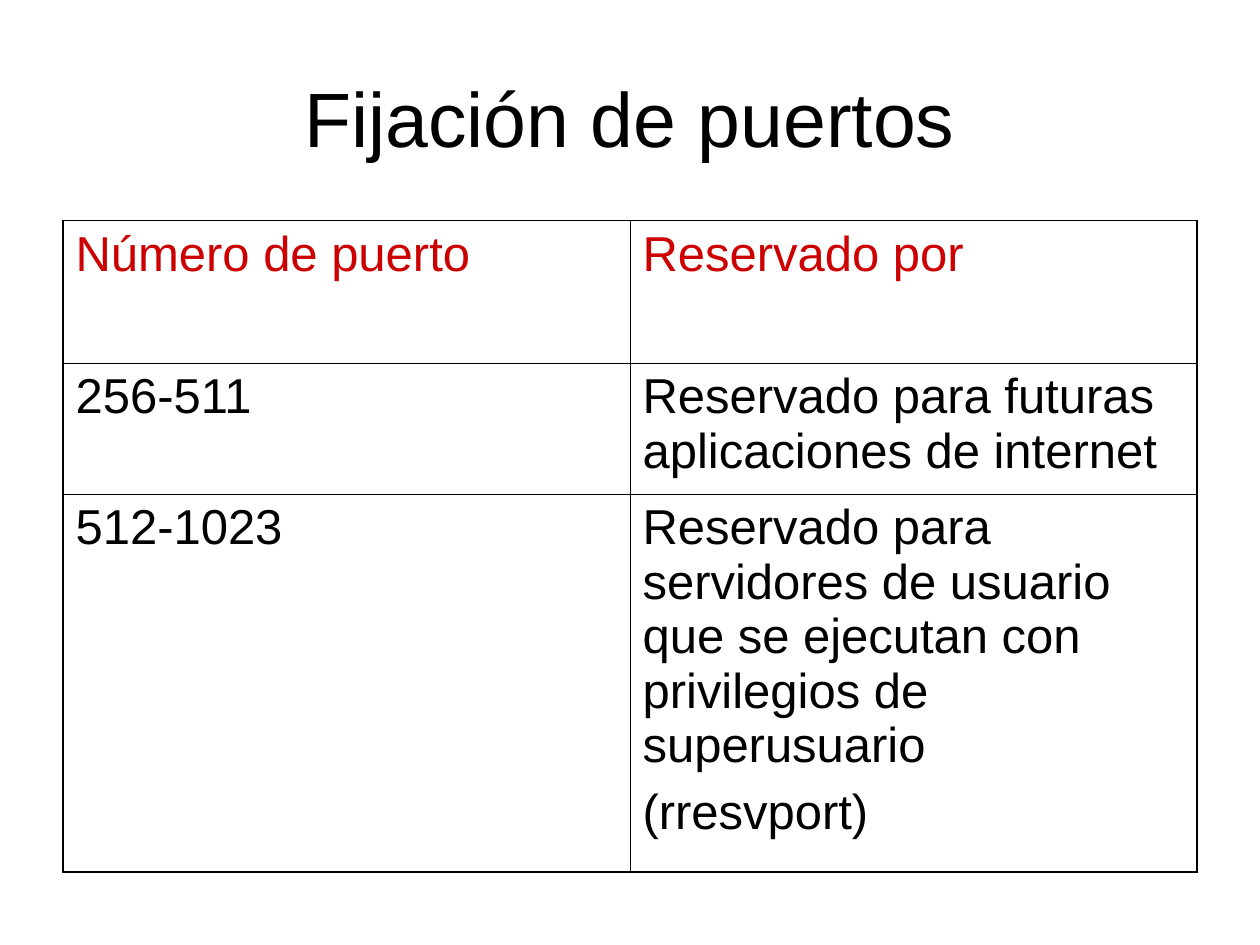
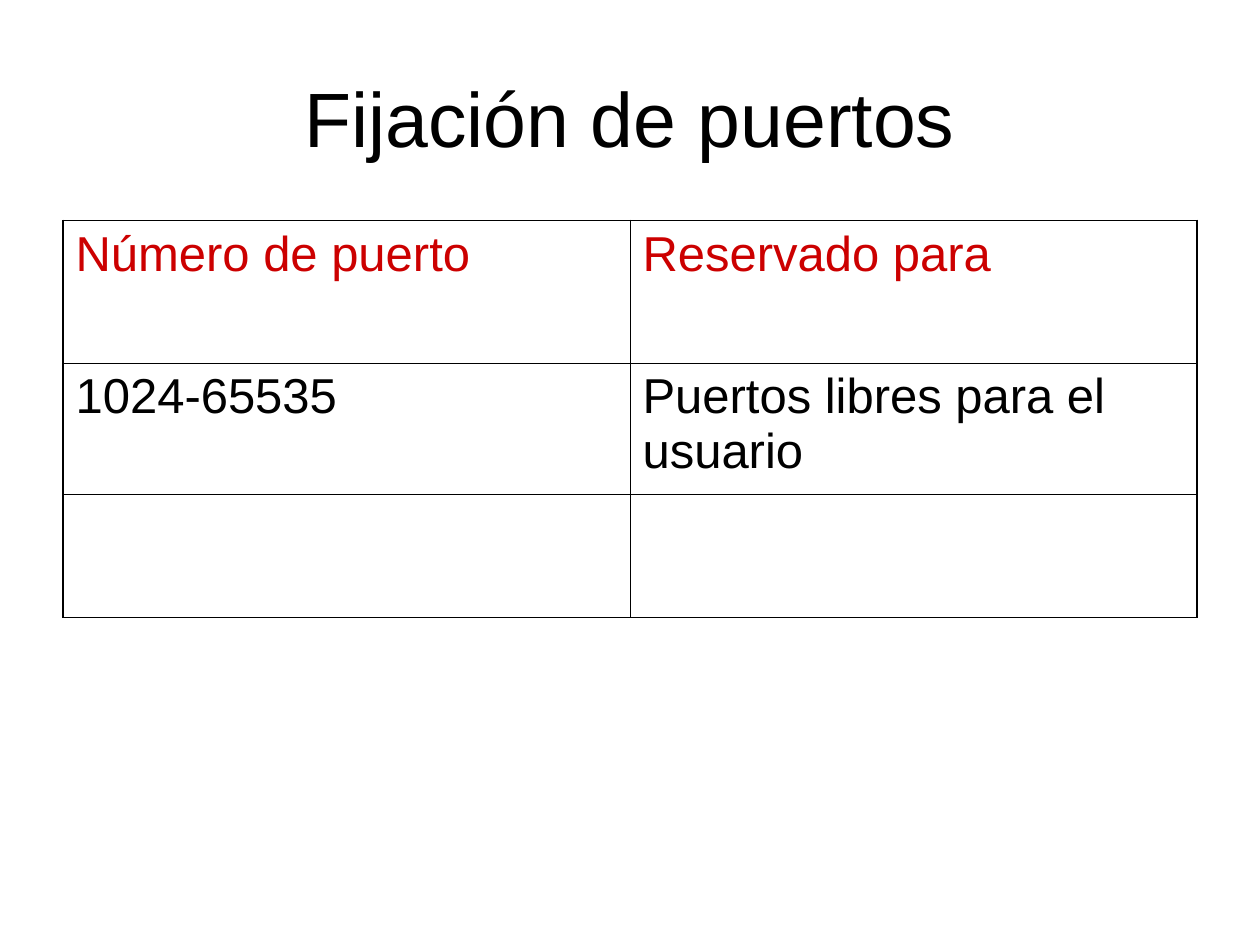
from dataclasses import dataclass

from lxml import etree
from pptx import Presentation
from pptx.dml.color import RGBColor
from pptx.enum.text import MSO_ANCHOR, PP_ALIGN
from pptx.oxml.ns import qn
from pptx.util import Inches, Pt

MIDDLE = MSO_ANCHOR.MIDDLE
CENTER = PP_ALIGN.CENTER


@dataclass(frozen=True)
class Theme:
    font: str = "Arial"
    ink: str = "000000"
    heading: str = "CC0000"
    title_size: int = 44
    cell_size: int = 28
    cell_space: int = 7
    outer_border: float = 1.08
    inner_border: float = 0.45


THEME = Theme()
TITLE = "Fijación de puertos"
TITLE_BOX = (0.5, 0.3, 9, 1.25)
TABLE_ORIGIN = (0.5, 1.75)
TABLE_WIDTH = 9

PORT_SLIDES = [
    (
        [1.13, 1.04, 3],
        [
            ["Número de puerto", "Reservado por"],
            ["256-511", "Reservado para futuras aplicaciones de internet"],
            [
                "512-1023",
                "Reservado para servidores de usuario que se ejecutan con "
                "privilegios de superusuario\n(rresvport)",
            ],
        ],
    ),
    (
        [1.13, 1.04, 0.98],
        [
            ["Número de puerto", "Reservado para"],
            ["1024-65535", "Puertos libres para el usuario"],
            ["", ""],
        ],
    ),
]


def style_paragraph(paragraph, size, color):
    paragraph.font.name = THEME.font
    paragraph.font.size = Pt(size)
    paragraph.font.color.rgb = RGBColor.from_string(color)


def add_title(slide, box):
    frame = slide.shapes.add_textbox(*map(Inches, box)).text_frame
    frame.word_wrap = True
    frame.vertical_anchor = MIDDLE
    heading = frame.paragraphs[0]
    heading.text = TITLE
    heading.alignment = CENTER
    style_paragraph(heading, THEME.title_size, THEME.ink)


def set_borders(cell, outer_sides):
    properties = cell._tc.get_or_add_tcPr()
    for position, (side, is_outer) in enumerate(outer_sides.items()):
        width = THEME.outer_border if is_outer else THEME.inner_border
        border = etree.Element(qn(f"a:{side}"), w=str(Pt(width)))
        fill = etree.SubElement(border, qn("a:solidFill"))
        etree.SubElement(fill, qn("a:srgbClr"), val=THEME.ink)
        properties.insert(position, border)


def fill_cell(cell, text, color):
    cell.fill.background()
    cell.margin_left = cell.margin_right = Inches(0.1)
    cell.margin_top = cell.margin_bottom = Inches(0.05)
    cell.text = text
    for paragraph in cell.text_frame.paragraphs:
        paragraph.space_before = Pt(THEME.cell_space)
        style_paragraph(paragraph, THEME.cell_size, color)


def add_port_table(slide, origin, width, row_heights, rows):
    column_count = len(rows[0])
    box = (*origin, width, sum(row_heights))
    table = slide.shapes.add_table(
        len(rows), column_count, *map(Inches, box)
    ).table
    table.horz_banding = False
    for column in table.columns:
        column.width = Inches(width / column_count)
    for r, (height, row) in enumerate(zip(row_heights, rows)):
        table.rows[r].height = Inches(height)
        for c, text in enumerate(row):
            cell = table.cell(r, c)
            fill_cell(cell, text, THEME.heading if r == 0 else THEME.ink)
            set_borders(cell, {
                "lnL": c == 0,
                "lnR": c == column_count - 1,
                "lnT": r == 0,
                "lnB": r == len(rows) - 1,
            })


def add_port_slide(presentation, row_heights, rows):
    slide = presentation.slides.add_slide(presentation.slide_layouts[6])
    add_title(slide, TITLE_BOX)
    add_port_table(slide, TABLE_ORIGIN, TABLE_WIDTH, row_heights, rows)


def main():
    presentation = Presentation()
    presentation.slide_width = Inches(10)
    presentation.slide_height = Inches(7.5)
    for row_heights, rows in PORT_SLIDES:
        add_port_slide(presentation, row_heights, rows)
    presentation.save("out.pptx")


if __name__ == "__main__":
    main()
